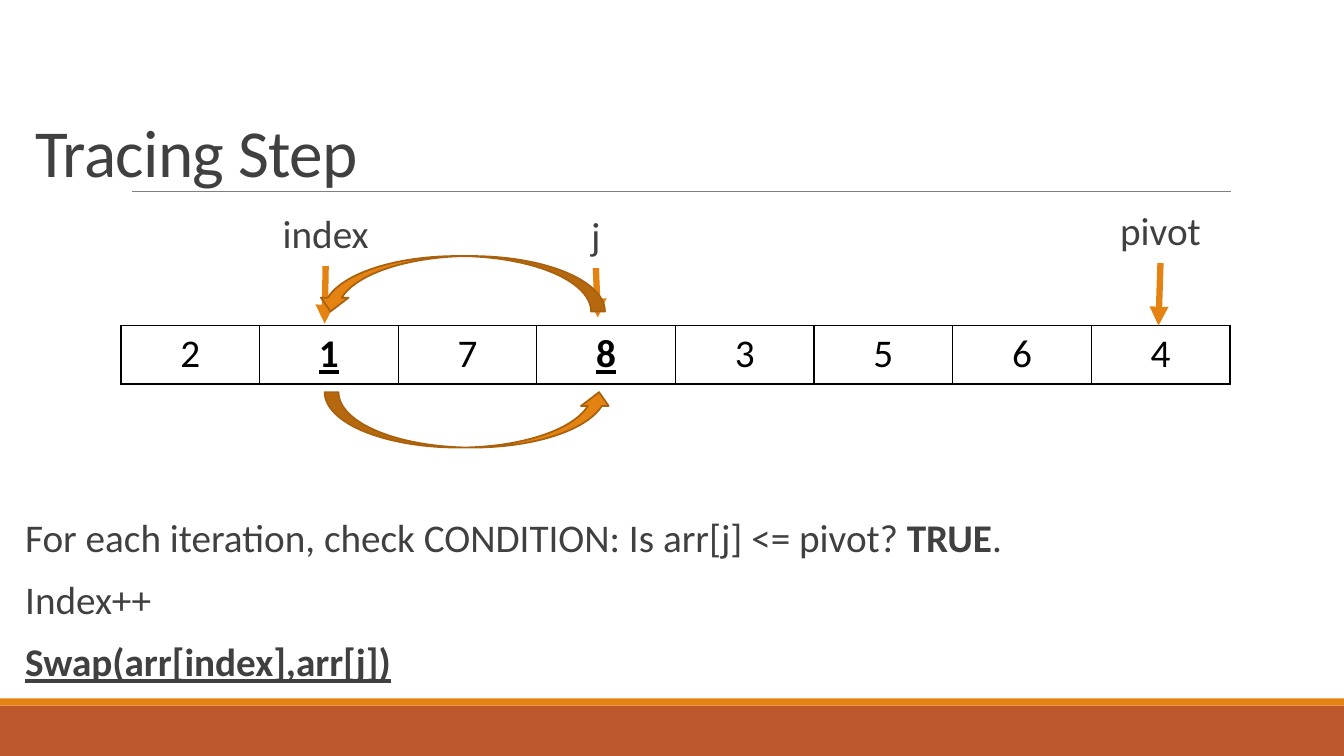
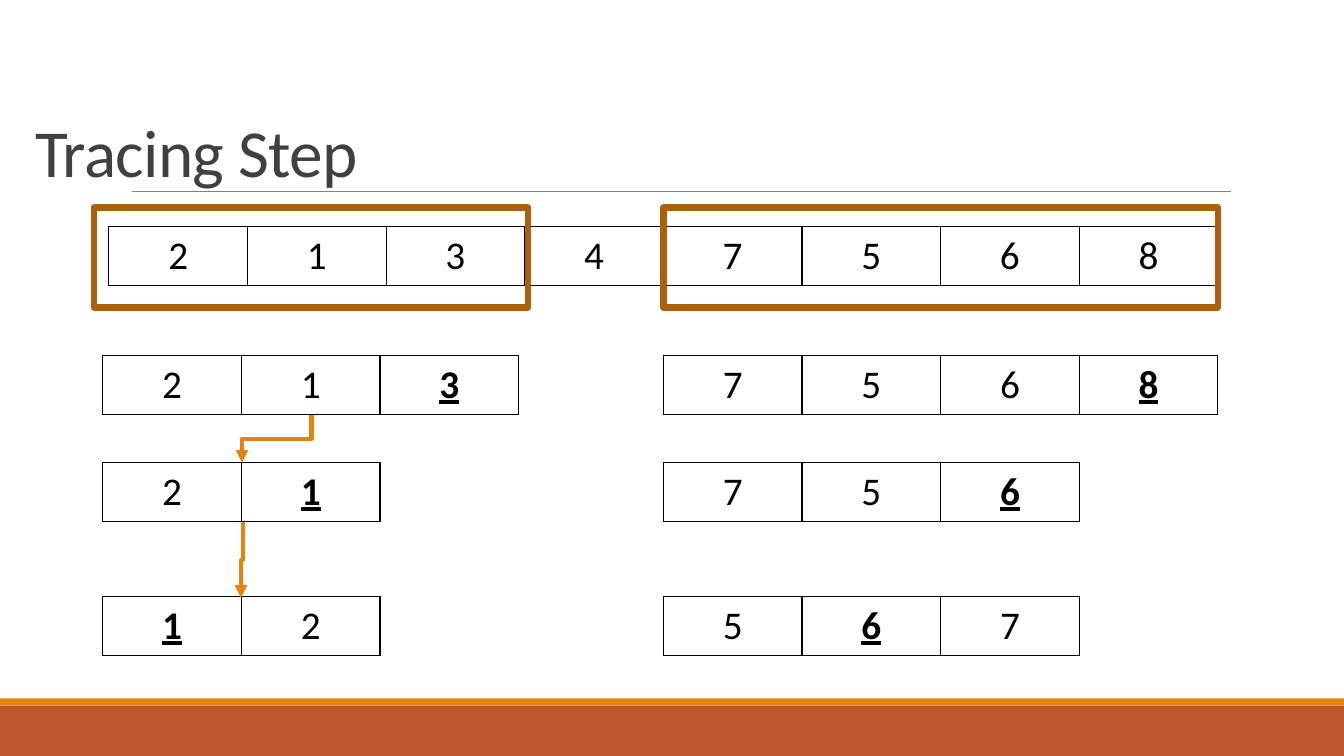
from lxml import etree
from pptx import Presentation
from pptx.dml.color import RGBColor
from pptx.enum.shapes import MSO_CONNECTOR as LINE, MSO_SHAPE as SHAPE
from pptx.enum.text import MSO_ANCHOR as ANCHOR, PP_ALIGN as ALIGN
from pptx.oxml.ns import qn
from pptx.util import Inches, Pt

FONT = "Calibri"
BLACK, TEXT, GRAY = "000000", "404040", "808080"
RUST, ORANGE, BROWN = "BD582C", "E48312", "A9610D"
SLIDE_W, SLIDE_H = 13.33, 7.5
COL_W = Inches(11) // 8
ROW_H = Inches(0.58)
LABEL_W, LABEL_H = 0.92, 0.56

TITLE = "Tracing Step"

# Arrays: left, top, values, positions to emphasise
SWAP_ARRAY = (1.2, 3.23, "21783564", (1, 3))
# Pointers: label, left, top, arrow tip
POINTERS = [
    ("pivot", 11.05, 2.05, (11.49, 3.23)),
    ("j", 5.45, 2.1, (5.93, 3.15)),
    ("index", 2.77, 2.08, (3.22, 3.21)),
]
# Paragraphs of runs: text, bold, underlined
NOTES = [
    [("For each iteration, check CONDITION: Is arr[j] <= pivot? ", False, False),
     ("TRUE", True, False), (".", False, False)],
    [("Index++", False, False)],
    [("Swap(arr[index],arr[j])", True, True)],
]
# Swap arrows: left, top, rotation
SWAP_ARROWS = [(3.22, 3.89, 0), (3.14, 2.54, 180)]

LEFT_X, RIGHT_X = 1.02, 6.58
STEP_TOPS = (3.53, 4.59, 5.92)
PARTITIONED = (1.08, 2.25, "21347568", ())
LEFT_STEPS = [("213", (2,)), ("21", (1,)), ("12", (0,))]
RIGHT_STEPS = [("7568", (3,)), ("756", (2,)), ("567", (1,))]
# Frames: left, width
FRAMES = [(0.93, 4.31), (RIGHT_X, 5.5)]
STEP_ARROWS = [((3.09, 4.12), (2.4, 4.59)), ((2.41, 5.18), (2.39, 5.93))]


def rgb(color):
    return RGBColor.from_string(color)


def inches(*values):
    return [Inches(v) for v in values]


def set_font(font, size, color):
    font.name, font.size = FONT, Pt(size)
    font.color.rgb = rgb(color)


def add_shape(slide, kind, box, fill=None, line=None, width=1):
    sp = slide.shapes.add_shape(kind, *inches(*box))
    sp.shadow.inherit = False
    if fill:
        sp.fill.solid()
        sp.fill.fore_color.rgb = rgb(fill)
    else:
        sp.fill.background()
    if line:
        sp.line.color.rgb = rgb(line)
        sp.line.width = Pt(width)
    else:
        sp.line.fill.background()
    return sp


def add_line(slide, start, end, color, width, kind=LINE.STRAIGHT, arrow=False):
    cxn = slide.shapes.add_connector(kind, *inches(*start, *end))
    cxn.line.color.rgb = rgb(color)
    cxn.line.width = Pt(width)
    if arrow:
        ln = cxn.line._get_or_add_ln()
        etree.SubElement(ln, qn("a:tailEnd"), type="triangle")
    etree.SubElement(cxn._element.spPr, qn("a:effectLst"))
    return cxn


def add_down_elbow(slide, start, end):
    """Elbow arrow that leaves downwards and ends lower left: a quarter-turned elbow."""
    (x1, y1), (x2, y2) = start, end
    cx, cy = (x1 + x2) / 2, (y1 + y2) / 2
    dx, dy = (y2 - y1) / 2, (x1 - x2) / 2
    cxn = add_line(slide, (cx - dx, cy - dy), (cx + dx, cy + dy), ORANGE, 3,
                   LINE.ELBOW, arrow=True)
    cxn._element.spPr.find(qn("a:xfrm")).set("rot", str(90 * 60000))


def add_text(slide, box, paragraphs, align=ALIGN.LEFT):
    tf = slide.shapes.add_textbox(*inches(*box)).text_frame
    tf.word_wrap = True
    tf.margin_left = tf.margin_right = 0
    for i, runs in enumerate(paragraphs):
        p = tf.add_paragraph() if i else tf.paragraphs[0]
        p.alignment = align
        p.line_spacing = 0.9
        p.space_before, p.space_after = Pt(12), Pt(2)
        set_font(p.font, 28, TEXT)
        for text, bold, underline in runs:
            r = p.add_run()
            r.text = text
            r.font.bold, r.font.underline = bold, underline


def set_borders(cell):
    tc_pr = cell._tc.get_or_add_tcPr()
    for side in ("lnL", "lnR", "lnT", "lnB"):
        ln = etree.SubElement(tc_pr, qn(f"a:{side}"), w=str(Pt(1)))
        fill = etree.SubElement(ln, qn("a:solidFill"))
        etree.SubElement(fill, qn("a:srgbClr"), val=BLACK)


def add_array(slide, left, top, values, marked):
    n = len(values)
    table = slide.shapes.add_table(1, n, *inches(left, top), COL_W * n, ROW_H).table
    table.first_row = table.horz_banding = False
    for i, value in enumerate(values):
        table.columns[i].width = COL_W
        cell = table.cell(0, i)
        set_borders(cell)
        cell.fill.background()
        cell.text = value
        p = cell.text_frame.paragraphs[0]
        p.alignment = ALIGN.CENTER
        set_font(p.font, 28, BLACK)
        p.font.bold = p.font.underline = i in marked


def add_base(prs):
    """Blank slide with the shared bands, rule and title."""
    slide = prs.slides.add_slide(prs.slide_layouts[6])
    add_shape(slide, SHAPE.RECTANGLE, (0, 7, SLIDE_W, 0.5), RUST)
    add_shape(slide, SHAPE.RECTANGLE, (0, 6.93, SLIDE_W, 0.07), ORANGE)
    add_line(slide, (1.31, 1.9), (12.21, 1.9), GRAY, 0.5)
    tf = slide.shapes.add_textbox(*inches(0.25, 0.36, 11, 1.59)).text_frame
    tf.word_wrap = True
    tf.vertical_anchor = ANCHOR.BOTTOM
    p = tf.paragraphs[0]
    p.line_spacing = 0.85
    r = p.add_run()
    r.text = TITLE
    set_font(r.font, 48, TEXT)
    r._r.get_or_add_rPr().set("spc", "-50")
    return slide


def build_swap(prs):
    slide = add_base(prs)
    add_array(slide, *SWAP_ARRAY)
    for label, left, top, tip in POINTERS:
        add_text(slide, (left, top, LABEL_W, LABEL_H), [[(label, False, False)]],
                 ALIGN.CENTER)
        add_line(slide, (left + LABEL_W / 2, top + LABEL_H), tip, ORANGE, 4.5, arrow=True)
    add_text(slide, (0.25, 5.1, 11, 1.9), NOTES)
    for left, top, rotation in SWAP_ARROWS:
        sp = add_shape(slide, SHAPE.CURVED_UP_ARROW, (left, top, 2.86, 0.55),
                       ORANGE, BROWN, 1.25)
        sp.rotation = rotation


def build_partitions(prs):
    slide = add_base(prs)
    add_array(slide, *PARTITIONED)
    for left, width in FRAMES:
        add_shape(slide, SHAPE.RECTANGLE, (left, 2.06, width, 0.99), line=BROWN, width=4.5)
    for left, steps in ((LEFT_X, LEFT_STEPS), (RIGHT_X, RIGHT_STEPS)):
        for top, (values, marked) in zip(STEP_TOPS, steps):
            add_array(slide, left, top, values, marked)
    for start, end in STEP_ARROWS:
        add_down_elbow(slide, start, end)


def main():
    prs = Presentation()
    prs.slide_width, prs.slide_height = inches(SLIDE_W, SLIDE_H)
    build_swap(prs)
    build_partitions(prs)
    prs.save("out.pptx")


if __name__ == "__main__":
    main()
